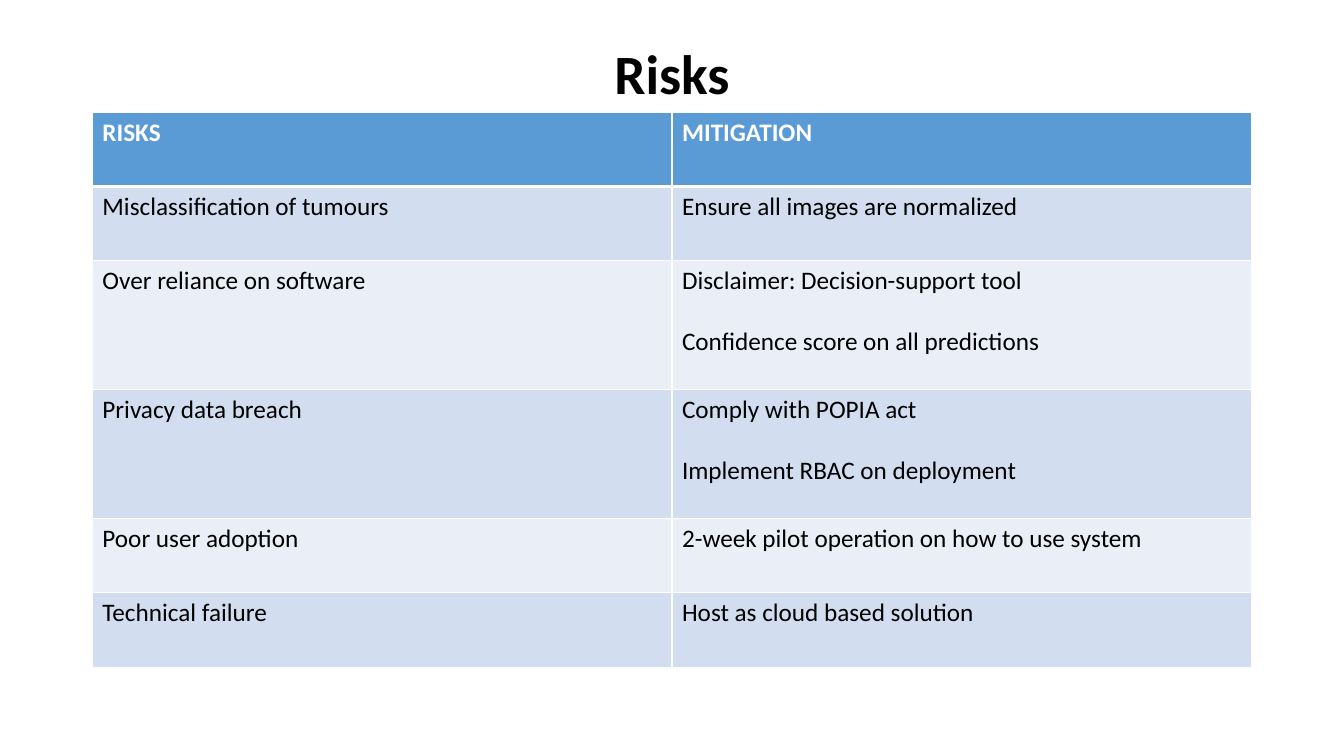
import pptx
import pptx.dml.color
import pptx.enum.text
import pptx.oxml
import pptx.oxml.ns
import pptx.util

Pt = pptx.util.Pt
RGB = pptx.dml.color.RGBColor
Align = pptx.enum.text.PP_ALIGN
Anchor = pptx.enum.text.MSO_ANCHOR

BLACK = RGB(0x00, 0x00, 0x00)
WHITE = RGB(0xFF, 0xFF, 0xFF)
BLUE = RGB(0x5B, 0x9B, 0xD5)
BANDS = (RGB(0xD2, 0xDE, 0xEF), RGB(0xEA, 0xEF, 0xF7))

LEFT, WIDTH = 66, 828
SHORT, TALL = 53.2, 91.9

RISKS = [
    ("RISKS", "MITIGATION"),
    ("Misclassification of tumours", "Ensure all images are normalized"),
    ("Over reliance on software",
     "Disclaimer: Decision-support tool\nConfidence score on all predictions"),
    ("Privacy data breach",
     "Comply with POPIA act\nImplement RBAC on deployment"),
    ("Poor user adoption", "2-week pilot operation on how to use system"),
    ("Technical failure", "Host as cloud based solution"),
]


class Deck:
    font = "Calibri"
    size = 18
    gap = 21.6

    def __init__(self):
        self.prs = pptx.Presentation()
        self.prs.slide_width, self.prs.slide_height = Pt(960), Pt(540)
        self.slide = self.prs.slides.add_slide(self.prs.slide_layouts[5])

    def style(self, para, size, color, bold):
        for run in para.runs:
            run.font.name = self.font
            run.font.size = Pt(size)
            run.font.bold = bold
            run.font.color.rgb = color

    def title(self, text, top, height):
        box = self.slide.shapes.title
        box.left, box.top = Pt(LEFT), Pt(top)
        box.width, box.height = Pt(WIDTH), Pt(height)
        frame = box.text_frame
        frame.text = text
        frame.vertical_anchor = Anchor.MIDDLE
        frame.auto_size = pptx.enum.text.MSO_AUTO_SIZE.NONE
        para = frame.paragraphs[0]
        para.alignment = Align.CENTER
        para.line_spacing = 0.9
        self.style(para, 39.6, BLACK, True)

    def border(self, cell, side, width):
        props = cell._tc.get_or_add_tcPr()
        props.append(pptx.oxml.parse_xml(
            f'<a:ln{side} {pptx.oxml.ns.nsdecls("a")} w="{Pt(width)}">'
            f'<a:solidFill><a:srgbClr val="{WHITE}"/></a:solidFill>'
            f'</a:ln{side}>'))

    def cell(self, cell, text, row):
        head = row == 0
        for side in "LRTB":
            joint = (head and side == "B") or (row == 1 and side == "T")
            self.border(cell, side, 3 if joint else 1)
        cell.fill.solid()
        cell.fill.fore_color.rgb = BLUE if head else BANDS[(row - 1) % 2]
        cell.text_frame.text = text
        for i, para in enumerate(cell.text_frame.paragraphs):
            para.space_before = Pt(self.gap if i else 0)
            self.style(para, self.size, WHITE if head else BLACK, head)

    def table(self, rows, top):
        highs = [TALL if "\n" in row[1] else SHORT for row in rows]
        count = len(rows[0])
        grid = self.slide.shapes.add_table(
            len(rows), count, Pt(LEFT), Pt(top), Pt(WIDTH), Pt(sum(highs))).table
        grid.horz_banding = False
        for col in grid.columns:
            col.width = Pt(WIDTH / count)
        for r, (row, high) in enumerate(zip(rows, highs)):
            grid.rows[r].height = Pt(high)
            for c, text in enumerate(row):
                self.cell(grid.cell(r, c), text, r)


def main():
    deck = Deck()
    deck.title("Risks", 29, 51)
    deck.table(RISKS, 80)
    deck.prs.save("out.pptx")


if __name__ == "__main__":
    main()
